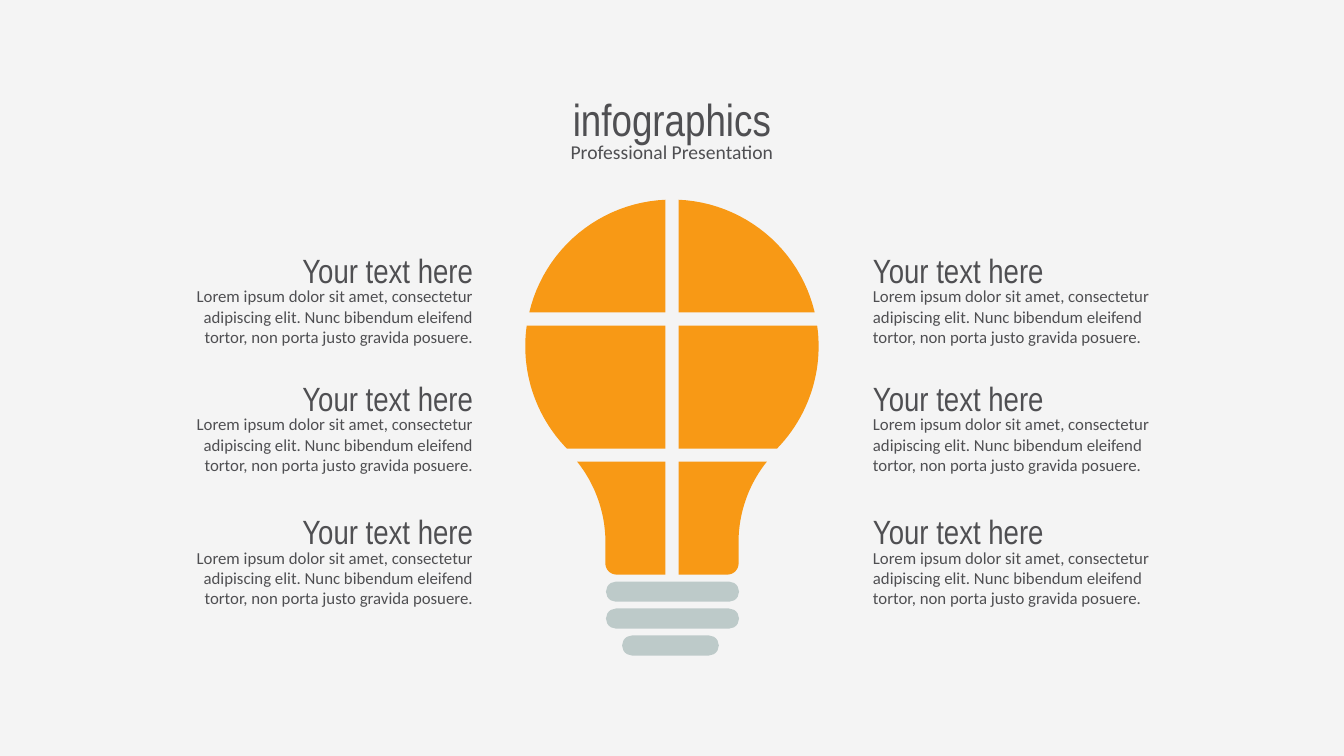
from dataclasses import dataclass
from math import asin, acos, cos, degrees, radians, sin

from pptx import Presentation
from pptx.dml.color import RGBColor
from pptx.enum.shapes import MSO_SHAPE
from pptx.enum.text import MSO_ANCHOR, MSO_AUTO_SIZE, PP_ALIGN
from pptx.util import Inches, Pt


@dataclass(frozen=True)
class Theme:
    background = RGBColor.from_string("F4F4F4")
    text = RGBColor.from_string("4F4F52")
    glass = RGBColor.from_string("F89915")
    base = RGBColor.from_string("BDCAC9")
    heading_font = "Arial Narrow"
    body_font = "Calibri"
    title_size = 32
    subtitle_size = 14
    heading_size = 24
    body_size = 12


theme = Theme()


def write(text, left, top, width, height, *, size, font, align, box=None):
    """Fill the given box, or a new text box, with one formatted paragraph."""
    if box is None:
        box = slide.shapes.add_textbox(0, 0, 0, 0)
    box.left, box.top = Inches(left), Inches(top)
    box.width, box.height = Inches(width), Inches(height)
    frame = box.text_frame
    frame.word_wrap = True
    frame.auto_size = MSO_AUTO_SIZE.NONE
    frame.vertical_anchor = MSO_ANCHOR.TOP
    frame.text = text
    paragraph = frame.paragraphs[0]
    paragraph.alignment = align
    paragraph.font.size = Pt(size)
    paragraph.font.name = font
    paragraph.font.color.rgb = theme.text


def arc(center_x, center_y, radius, start, end, steps=24):
    """Return points on an arc; angles are in degrees, clockwise from the right."""
    angles = [radians(start + (end - start) * i / steps) for i in range(steps + 1)]
    return [(center_x + radius * cos(a), center_y + radius * sin(a)) for a in angles]


prs = Presentation()
prs.slide_width, prs.slide_height = Inches(13.33), Inches(7.5)
slide = prs.slides.add_slide(prs.slide_layouts[5])
slide.background.fill.solid()
slide.background.fill.fore_color.rgb = theme.background

write("infographics", 0.88, 0.86, 11.57, 0.64, size=theme.title_size,
      font=theme.heading_font, align=PP_ALIGN.CENTER, box=slide.shapes.title)
write("Professional Presentation", 0.88, 1.34, 11.57, 0.34,
      size=theme.subtitle_size, font=theme.body_font, align=PP_ALIGN.CENTER)

# Bulb glass: each half is drawn as distances from the vertical axis
axis_x, half_gap = 6.665, 0.065
globe_y, globe_radius = 3.435, 1.455
upper_bottom, middle_top, middle_bottom = 3.1, 3.23, 4.45
neck_top, neck_end, neck_bottom = 4.58, 5.38, 5.7
neck_half, neck_radius, corner = 0.66, 1.28, 0.11


def globe_angle(y):
    return degrees(asin((y - globe_y) / globe_radius))


neck_angle = 180 + degrees(asin((neck_end - neck_top) / neck_radius))
glass_pieces = [
    arc(0, globe_y, globe_radius, -degrees(acos(half_gap / globe_radius)),
        globe_angle(upper_bottom)) + [(half_gap, upper_bottom)],
    [(half_gap, middle_top)]
    + arc(0, globe_y, globe_radius, globe_angle(middle_top), globe_angle(middle_bottom))
    + [(half_gap, middle_bottom)],
    [(half_gap, neck_top)]
    + arc(neck_half + neck_radius, neck_end, neck_radius, neck_angle, 180)
    + arc(neck_half - corner, neck_bottom - corner, corner, 0, 90)
    + [(half_gap, neck_bottom)],
]
for side in (-1, 1):
    for outline in glass_pieces:
        points = [(Inches(axis_x + side * x), Inches(y)) for x, y in outline]
        builder = slide.shapes.build_freeform(*points[0])
        builder.add_line_segments(points[1:], close=True)
        glass = builder.convert_to_shape()
        glass.shadow.inherit = False
        glass.fill.solid()
        glass.fill.fore_color.rgb = theme.glass
        glass.line.fill.background()

# Screw base
for row, (left, width) in enumerate([(6.01, 1.32), (6.01, 1.32), (6.17, 0.96)]):
    thread = slide.shapes.add_shape(
        MSO_SHAPE.ROUNDED_RECTANGLE, Inches(left), Inches(5.77 + row * 0.267),
        Inches(width), Inches(0.2))
    thread.adjustments[0] = 0.5
    thread.shadow.inherit = False
    thread.fill.solid()
    thread.fill.fore_color.rgb = theme.base
    thread.line.fill.background()

# Captions on both sides of the bulb
caption = ("Lorem ipsum dolor sit amet, consectetur adipiscing elit. "
           "Nunc bibendum eleifend tortor, non porta justo gravida posuere.")
for left, align in ((1.58, PP_ALIGN.RIGHT), (8.56, PP_ALIGN.LEFT)):
    for top in (2.43, 3.7, 5.02):
        write("Your text here", left, top, 3.21, 0.5, size=theme.heading_size,
              font=theme.heading_font, align=align)
        write(caption, left, top + 0.36, 3.21, 0.71, size=theme.body_size,
              font=theme.body_font, align=align)

prs.save("out.pptx")
